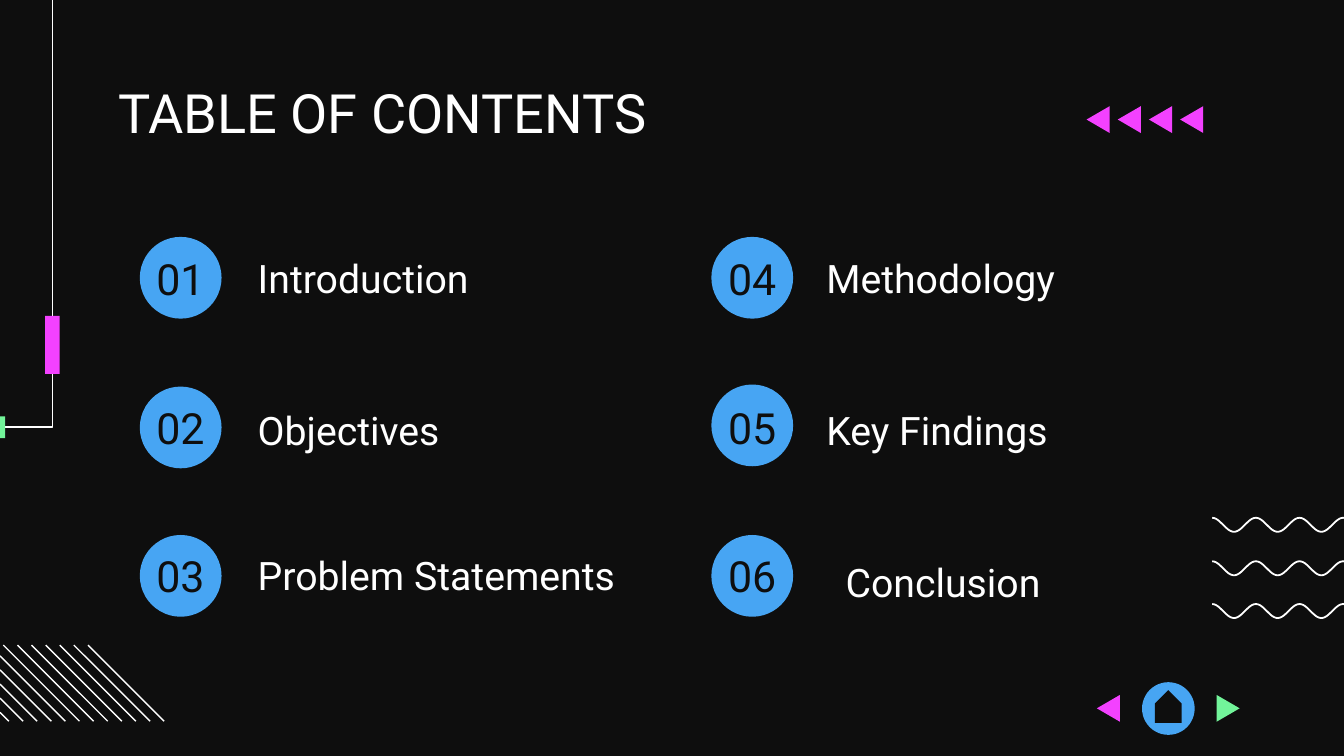
from dataclasses import dataclass
from math import cos, pi

from lxml.etree import SubElement
from pptx import Presentation
from pptx.dml.color import RGBColor
from pptx.enum.shapes import MSO_CONNECTOR, MSO_SHAPE
from pptx.enum.text import MSO_ANCHOR, PP_ALIGN
from pptx.oxml.ns import qn
from pptx.util import Pt


@dataclass(frozen=True)
class Theme:
    font: str = "Roboto"
    dark: str = "0E0E0E"
    white: str = "FFFFFF"
    blue: str = "47A5F3"
    pink: str = "F341FF"
    green: str = "72F49A"
    title: int = 29
    number: int = 23
    label: int = 21
    hairline: float = 0.75
    wave: float = 0.95


class SlideBuilder:
    """Draws themed elements on one slide, with lengths in points."""

    def __init__(self, slide, theme):
        self.s = slide
        self.theme = theme
        self.s.background.fill.solid()
        self.s.background.fill.fore_color.rgb = RGBColor.from_string(theme.dark)

    def text(self, text, x, y, w, h, size, color, top=0, align=PP_ALIGN.LEFT,
             spacing=1.0, after=0):
        tf = self.s.shapes.add_textbox(Pt(x), Pt(y), Pt(w), Pt(h)).text_frame
        tf.word_wrap = True
        tf.vertical_anchor = MSO_ANCHOR.TOP
        tf.margin_left = tf.margin_right = tf.margin_bottom = Pt(7.2)
        tf.margin_top = Pt(top)
        tf.text = text
        p = tf.paragraphs[0]
        p.alignment = align
        p.line_spacing = spacing
        p.space_after = Pt(after)
        font = p.runs[0].font
        font.name = self.theme.font
        font.size = Pt(size)
        font.color.rgb = RGBColor.from_string(color)

    def fill(self, sp, color):
        sp.shadow.inherit = False
        sp.fill.solid()
        sp.fill.fore_color.rgb = RGBColor.from_string(color)
        sp.line.fill.background()

    def shape(self, kind, x, y, w, h, color, rotation=0):
        sp = self.s.shapes.add_shape(kind, Pt(x), Pt(y), Pt(w), Pt(h))
        sp.rotation = rotation
        self.fill(sp, color)

    def outline(self, points, closed):
        first, *rest = [(Pt(x), Pt(y)) for x, y in points]
        fb = self.s.shapes.build_freeform(*first)
        fb.add_line_segments(rest, close=closed)
        return fb.convert_to_shape()

    def triangle(self, back, tip, y, color):
        points = [(back, y), (tip, y + 7.2), (back, y + 14.4)]
        self.fill(self.outline(points, True), color)

    def polyline(self, points, width):
        sp = self.outline(points, False)
        sp.shadow.inherit = False
        sp.fill.background()
        sp.line.color.rgb = RGBColor.from_string(self.theme.white)
        sp.line.width = Pt(width)

    def line(self, x1, y1, x2, y2):
        ln = self.s.shapes.add_connector(
            MSO_CONNECTOR.STRAIGHT, Pt(x1), Pt(y1), Pt(x2), Pt(y2))
        ln.line.color.rgb = RGBColor.from_string(self.theme.white)
        ln.line.width = Pt(self.theme.hairline)
        SubElement(ln._element.spPr, qn("a:effectLst"))

    def wave(self, x, y, period, height, cycles, steps=24):
        points = [
            (x + period * i / steps,
             y + height / 2 * (1 - cos(2 * pi * i / steps)))
            for i in range(int(cycles * steps) + 1)
        ]
        self.polyline(points, self.theme.wave)


def main():
    prs = Presentation()
    prs.slide_width, prs.slide_height = Pt(720), Pt(405)
    theme = Theme()
    b = SlideBuilder(prs.slides.add_slide(prs.slide_layouts[6]), theme)

    for y in (277.4, 300.7, 323.6):
        b.wave(649.4, y, 23.4, 7.5, 3.5)

    stripe_top, stripe_size = 345.6, 40.8
    for i in range(12):
        x = -36 + 7.56 * i
        cut = max(0, -x)
        b.line(x + cut, stripe_top + cut, x + stripe_size, stripe_top + stripe_size)

    b.polyline([(0, 228.7), (28.1, 228.7), (28.1, 0)], theme.hairline)
    b.shape(MSO_SHAPE.RECTANGLE, 0, 223.1, 2.8, 11.6, theme.green)
    b.shape(MSO_SHAPE.RECTANGLE, 24.2, 169.3, 7.8, 31, theme.pink)

    b.text("TABLE OF CONTENTS", 56.2, 42.5, 607.7, 33.1, theme.title, theme.white)

    number_tops = (121, 200.9, 280.1)
    columns = [
        (74.9, 64.3, [
            ("Introduction", 126.9, 131, 132.5),
            ("Objectives", 207.1, 131, 213.8),
            ("Problem Statements", 286.6, 131, 291.4)]),
        (381.1, 370.6, [
            ("Methodology", 126.9, 435.6, 132.5),
            ("Key Findings", 206, 435.6, 213.8),
            ("Conclusion", 286.6, 445.9, 295.2)]),
    ]
    number = 0
    for circle_x, number_x, entries in columns:
        for number_y, (label, circle_y, x, y) in zip(number_tops, entries):
            number += 1
            b.shape(MSO_SHAPE.OVAL, circle_x, circle_y, 43.8, 43.8, theme.blue)
            b.text(f"{number:02}", number_x, number_y, 64.8, 43.9, theme.number,
                   theme.dark, top=14.4, align=PP_ALIGN.CENTER)
            b.text(label, x, y, 240, 28.1, theme.label, theme.white,
                   spacing=1.15, after=12)

    for i in range(4):
        tip = 582.1 + 16.7 * i
        b.triangle(tip + 12.4, tip, 56.9, theme.pink)

    b.shape(MSO_SHAPE.OVAL, 611.8, 365.5, 28.2, 28.2, theme.blue)
    b.shape(MSO_SHAPE.PENTAGON, 617.1, 371.3, 17.5, 14.4, theme.dark, 270)
    b.triangle(600, 587.6, 372.3, theme.pink)
    b.triangle(651.7, 664.1, 372.3, theme.green)

    prs.save("out.pptx")


if __name__ == "__main__":
    main()
